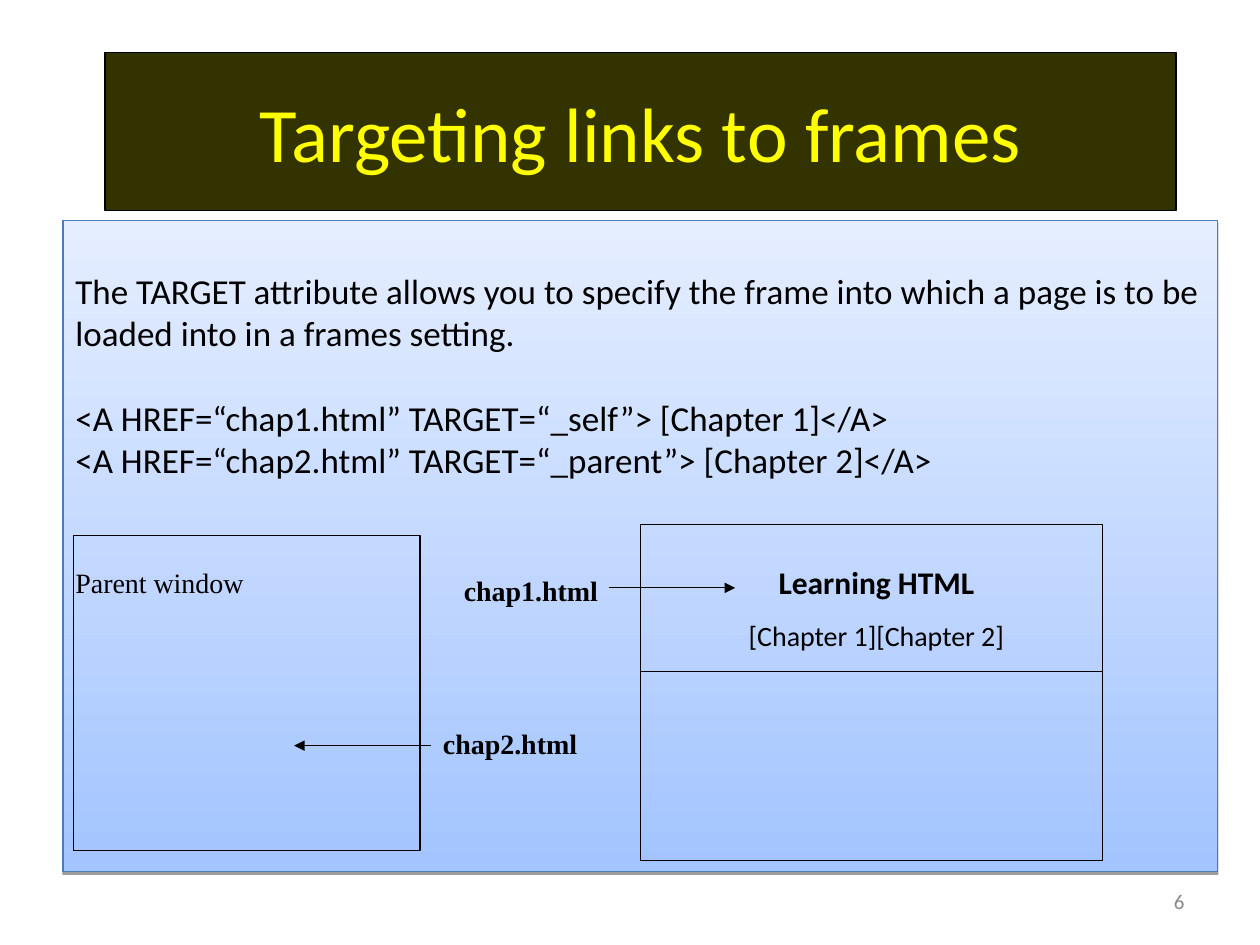
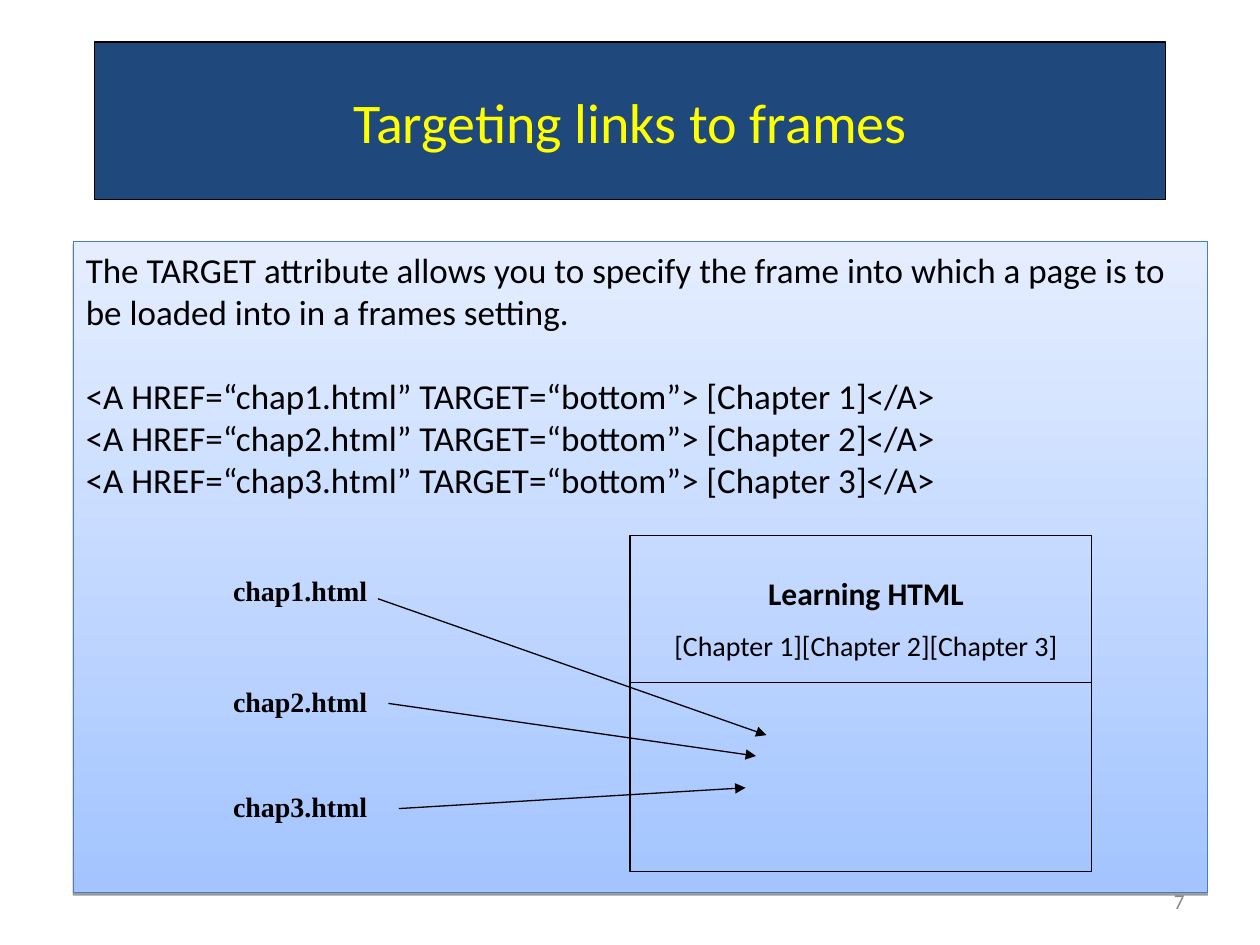
"""Build two slides that show how links target frames."""
from lxml import etree
from pptx import Presentation
from pptx.dml.color import RGBColor
from pptx.enum.shapes import MSO_CONNECTOR, MSO_SHAPE
from pptx.enum.text import MSO_ANCHOR, PP_ALIGN
from pptx.oxml.ns import qn
from pptx.util import Cm, Pt

RECT = MSO_SHAPE.RECTANGLE
STRAIGHT = MSO_CONNECTOR.STRAIGHT
TOP, MIDDLE = MSO_ANCHOR.TOP, MSO_ANCHOR.MIDDLE
LEFT, CENTER, RIGHT = PP_ALIGN.LEFT, PP_ALIGN.CENTER, PP_ALIGN.RIGHT

COLORS = {
    "ink": "000000",
    "olive": "333300",
    "navy": "1F497D",
    "title": "FFFF00",
    "edge": "4A7EBB",
    "low": "A3C4FF",
    "high": "E5EEFF",
    "number": "898989",
}
SANS, SERIF = "Calibri", "Times New Roman"
ROW = 24.4
INTRO = ("The TARGET attribute allows you to specify the frame into which "
         "a page is to be loaded into in a frames setting.")


def write(box, text, size=20, font=SANS, color="ink", bold=False, align=LEFT, gap=0):
    frame = box.text_frame
    para = frame.paragraphs[0]
    if para.runs:
        para = frame.add_paragraph()
    para.alignment = align
    para.space_before = Pt(gap)
    run = para.add_run()
    run.text = text
    run.font.size = Pt(size)
    run.font.name = font
    run.font.bold = bold
    run.font.color.rgb = RGBColor.from_string(COLORS[color])


def frame(slide, at, line=None, fill=None, anchor=TOP):
    place = [Cm(n) for n in at]
    if line:
        box = slide.shapes.add_shape(RECT, *place)
        box.shadow.inherit = False
        box.line.color.rgb = RGBColor.from_string(COLORS[line])
        box.line.width = Pt(0.75)
        if fill:
            box.fill.solid()
            box.fill.fore_color.rgb = RGBColor.from_string(COLORS[fill])
        else:
            box.fill.background()
    else:
        box = slide.shapes.add_textbox(*place)
    box.text_frame.word_wrap = True
    box.text_frame.vertical_anchor = anchor
    return box


SLIDES = [
    {
        "number": "6",
        "title": (2.12, 1.06), "size": 44, "fill": "olive",
        "panel": (1.27, 4.45, 23.28, 13.12), "inset": 0.99,
        "links": [("chap1", "_self", "1"), ("chap2", "_parent", "2")],
        "page": (12.91, 10.58),
        "labels": [(9.1, 11.43), (8.68, 14.53)],
        "arrows": [(12.28, 11.85, 14.82, 11.85), (8.68, 15.03, 5.93, 15.03)],
        "parent": (1.48, 10.8, 6.99, 6.35),
    },
    {
        "number": "7",
        "title": (1.91, 0.85), "size": 32, "fill": "navy",
        "panel": (1.48, 4.87, 22.86, 13.12), "inset": 0.13,
        "links": [(f"chap{n}", "bottom", str(n)) for n in (1, 2, 3)],
        "page": (12.7, 10.8),
        "labels": [(4.45, y) for y in (11.43, 13.67, 15.8)],
        "arrows": [(7.62, 12.07, 15.45, 14.82), (7.83, 14.18, 15.24, 15.24),
                   (8.04, 16.3, 15.03, 15.88)],
        "parent": None,
    },
]

deck = Presentation()
deck.slide_width, deck.slide_height = Cm(25.4), Cm(19.05)

for data in SLIDES:
    slide = deck.slides.add_slide(deck.slide_layouts[6])

    number = frame(slide, (18.2, 17.65, 5.93, 1.02), anchor=MIDDLE)
    write(number, data["number"], size=12, color="number", align=RIGHT)

    title = frame(slide, (*data["title"], 21.59, 3.18), "ink", data["fill"], MIDDLE)
    write(title, "Targeting links to frames", size=data["size"], color="title", align=CENTER)

    panel = frame(slide, data["panel"], "edge")
    panel.fill.gradient()
    panel.fill.gradient_angle = 90
    for stop, name in zip(panel.fill.gradient_stops, ("low", "high")):
        stop.color.rgb = RGBColor.from_string(COLORS[name])
    effect = panel._element.spPr.find(qn("a:effectLst"))
    shade = etree.SubElement(effect, qn("a:outerShdw"), blurRad="0", dist="20000",
                             dir="5400000", rotWithShape="0")
    tone = etree.SubElement(shade, qn("a:srgbClr"), val=COLORS["ink"])
    etree.SubElement(tone, qn("a:alpha"), val="38000")

    panel.text_frame.margin_top = Cm(data["inset"])
    write(panel, INTRO)
    for i, (file, target, n) in enumerate(data["links"]):
        write(panel, f"<A HREF=“{file}.html” TARGET=“{target}”> [Chapter {n}]</A>",
              gap=0 if i else ROW)
    if data["parent"]:
        write(panel, "Parent window", size=16, font=SERIF, gap=2 * ROW)
        frame(slide, data["parent"], "ink")

    left, top = data["page"]
    menu = frame(slide, (left + 0.21, top + 0.64, 9.1, 2.06))
    write(menu, "Learning HTML", size=18, bold=True, align=CENTER)
    write(menu, "".join(f"[Chapter {n}]" for *_, n in data["links"]),
          size=16, align=CENTER, gap=10)
    frame(slide, (left, top, 9.31, 6.77), "ink")

    for spot, (file, *_) in zip(data["labels"], data["links"]):
        label = frame(slide, (*spot, 3.6, 0.94))
        write(label, f"{file}.html", size=16, font=SERIF, bold=True)

    split = (left, top + 2.96, left + 9.31, top + 2.96)
    for ends in [split, *data["arrows"]]:
        line = slide.shapes.add_connector(STRAIGHT, *[Cm(n) for n in ends])
        line.line.color.rgb = RGBColor.from_string(COLORS["ink"])
        line.line.width = Pt(0.75)
        props = line._element.spPr
        etree.SubElement(props, qn("a:effectLst"))
        if ends != split:
            etree.SubElement(props.find(qn("a:ln")), qn("a:tailEnd"), type="triangle")

deck.save("out.pptx")
